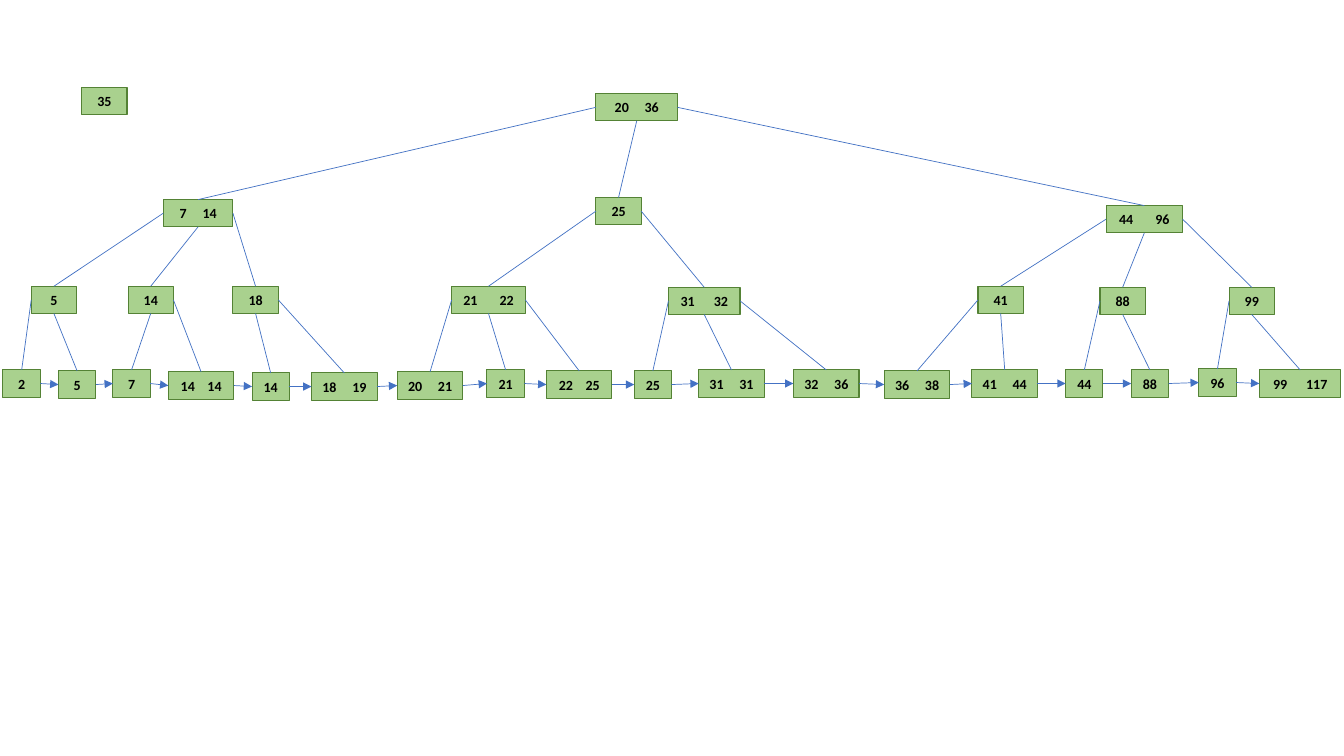
from dataclasses import dataclass

from lxml import etree
from pptx import Presentation
from pptx import util as u
from pptx.dml import color
from pptx.enum import shapes, text
from pptx.oxml import ns


@dataclass(frozen=True)
class Theme:
    node_fill = color.RGBColor.from_string("A9D18E")
    node_line = color.RGBColor.from_string("548235")
    edge_line = color.RGBColor.from_string("4472C4")
    key_color = color.RGBColor.from_string("000000")
    font = "Calibri"
    key_size = u.Pt(10)
    node_width = u.Pt(0.75)
    edge_width = u.Pt(0.5)


theme = Theme()
PX = 9144
NODE_HEIGHT = 27
SPACE_WIDTH = 226
TOP, LEFT, BOTTOM, RIGHT = range(4)

presentation = Presentation()
presentation.slide_width = 1333 * PX
presentation.slide_height = 750 * PX
slide = presentation.slides.add_slide(presentation.slide_layouts[6])


def add_node(left, top, width, keys, gap=1):
    shape = slide.shapes.add_shape(
        shapes.MSO_SHAPE.RECTANGLE, left * PX, top * PX, width * PX, NODE_HEIGHT * PX)
    shape.shadow.inherit = False
    shape.fill.solid()
    shape.fill.fore_color.rgb = theme.node_fill
    shape.line.color.rgb = theme.node_line
    shape.line.width = theme.node_width
    frame = shape.text_frame
    frame.word_wrap = True
    frame.auto_size = text.MSO_AUTO_SIZE.SHAPE_TO_FIT_TEXT
    paragraph = frame.paragraphs[0]
    paragraph.alignment = text.PP_ALIGN.CENTER
    for piece in keys.replace(" ", "| |").split("|"):
        run = paragraph.add_run()
        run.text = piece
        run.font.name = theme.font
        run.font.size = theme.key_size
        run.font.bold = True
        run.font.color.rgb = theme.key_color
        if piece == " ":
            run.font._element.set("spc", str((gap - 1) * SPACE_WIDTH))
    return shape


def add_edge(start, start_side, end, end_side, arrow=False):
    connector = slide.shapes.add_connector(shapes.MSO_CONNECTOR.STRAIGHT, 0, 0, 0, 0)
    connector.begin_connect(start, start_side)
    connector.end_connect(end, end_side)
    connector.line.color.rgb = theme.edge_line
    connector.line.width = theme.edge_width
    properties = connector.element.spPr
    if arrow:
        line = properties.find(ns.qn("a:ln"))
        etree.SubElement(line, ns.qn("a:tailEnd"), type="triangle")
    etree.SubElement(properties, ns.qn("a:effectLst"))


inner_levels = [
    [
        ((591, 93, 81, "20 36", 5), (LEFT, BOTTOM, RIGHT)),
    ],
    [
        ((162, 198, 69, "7 14", 5), (LEFT, BOTTOM, RIGHT)),
        ((591, 196, 45, "25"), (LEFT, RIGHT)),
        ((1097, 204, 76, "44 96", 7), (LEFT, BOTTOM, RIGHT)),
    ],
    [
        ((31, 284, 45, "5"), (LEFT, BOTTOM)),
        ((127, 284, 45, "14"), (BOTTOM, RIGHT)),
        ((231, 284, 45, "18"), (BOTTOM, RIGHT)),
        ((448, 284, 73, "21 22", 7), (LEFT, BOTTOM, RIGHT)),
        ((663, 285, 71, "31 32", 6), (LEFT, BOTTOM, RIGHT)),
        ((970, 284, 45, "41"), (LEFT, BOTTOM)),
        ((1091, 285, 45, "88"), (LEFT, BOTTOM)),
        ((1219, 285, 45, "99"), (LEFT, BOTTOM)),
    ],
]
leaf_level = [
    (3, 367, 37, "2"),
    (58, 368, 37, "5"),
    (112, 367, 37, "7"),
    (167, 369, 65, "14 14", 4),
    (250, 370, 37, "14"),
    (309, 370, 65, "18 19", 5),
    (394, 369, 65, "20 21", 5),
    (483, 367, 37, "21"),
    (542, 368, 65, "22 25", 4),
    (629, 368, 37, "25"),
    (693, 367, 65, "31 31", 5),
    (787, 367, 65, "32 36", 5),
    (877, 368, 65, "36 38", 5),
    (964, 367, 65, "41 44", 5),
    (1057, 367, 37, "44"),
    (1122, 367, 37, "88"),
    (1189, 366, 37, "96"),
    (1249, 367, 81, "99 117", 6),
]

add_node(81, 87, 45, "35")

open_sides = []
for level in inner_levels:
    next_sides = []
    for node, child_sides in level:
        shape = add_node(*node)
        if open_sides:
            parent, side = open_sides.pop(0)
            add_edge(parent, side, shape, TOP)
        next_sides += [(shape, side) for side in child_sides]
    open_sides = next_sides

leaves = [add_node(*leaf) for leaf in leaf_level]
for (parent, side), leaf in zip(open_sides, leaves):
    add_edge(parent, side, leaf, TOP)
for leaf, next_leaf in zip(leaves, leaves[1:]):
    add_edge(leaf, RIGHT, next_leaf, LEFT, arrow=True)

presentation.save("out.pptx")
